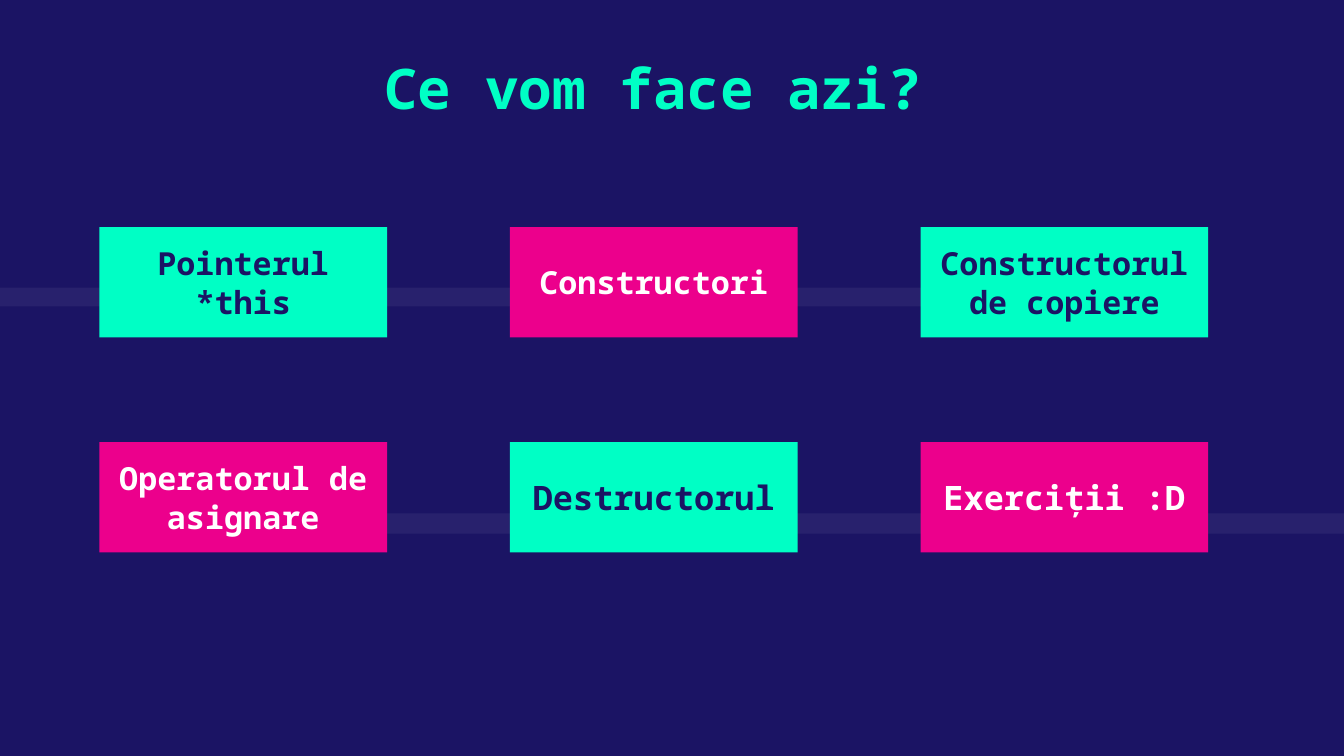
from pptx import Presentation
from pptx.dml.color import RGBColor
from pptx.enum.shapes import MSO_SHAPE
from pptx.enum.text import MSO_ANCHOR, PP_ALIGN
from pptx.oxml.ns import qn
from pptx.util import Inches, Pt
from lxml import etree

RECTANGLE = MSO_SHAPE.RECTANGLE
TOP = MSO_ANCHOR.TOP
MIDDLE = MSO_ANCHOR.MIDDLE
CENTER = PP_ALIGN.CENTER
NAVY, MINT, PINK, WHITE = "1B1464", "00FFC5", "EC008C", "FFFFFF"


def paint(fill, color):
    fill.solid()
    fill.fore_color.rgb = RGBColor.from_string(color)


def write(box, text, size, color, anchor):
    frame = box.text_frame
    frame_format = {"word_wrap": True, "vertical_anchor": anchor}
    for side in ("left", "top", "right", "bottom"):
        frame_format[f"margin_{side}"] = Inches(0.1)
    for name, value in frame_format.items():
        setattr(frame, name, value)
    para = frame.paragraphs[0]
    para.alignment = CENTER
    span = para.add_run()
    span.text = text
    for name, value in {"name": "Noto Sans Mono", "size": Pt(size), "bold": True}.items():
        setattr(span.font, name, value)
    paint(span.font.fill, color)


deck = Presentation()
deck.slide_width = Inches(10)
deck.slide_height = Inches(10 * 9 / 16)
page = deck.slides.add_slide(deck.slide_layouts[6])
paint(page.background.fill, NAVY)

for left, right, top, bottom in [(0, 8.52, 2.14, 2.28), (1.02, 10, 3.82, 3.97)]:
    outline = page.shapes.build_freeform(Inches(right), Inches(top))
    corners = [(right, bottom), (left, bottom), (left, top)]
    outline.add_line_segments([(Inches(x), Inches(y)) for x, y in corners], close=True)
    band = outline.convert_to_shape()
    band.shadow.inherit = False
    band.line.fill.background()
    paint(band.fill, WHITE)
    tint = band.element.spPr.find(qn("a:solidFill"))[0]
    etree.SubElement(tint, qn("a:alpha"), val="6000")

title = page.shapes.add_textbox(Inches(1.26), Inches(0.3), Inches(7.2), Inches(0.73))
write(title, "Ce vom face azi?", 30, MINT, TOP)

topics = [
    [("Pointerul *this", 17), ("Constructori", 17), ("Constructorul de copiere", 17)],
    [("Operatorul de asignare", 17), ("Destructorul", 18), ("Exerciții :D", 18)],
]
styles = [(MINT, NAVY), (PINK, WHITE)]
for row, row_topics in enumerate(topics):
    for column, (topic, size) in enumerate(row_topics):
        left = 0.74 + column * (6.85 - 0.74) / 2
        top = 1.69 + row * 1.6
        card = page.shapes.add_shape(RECTANGLE, Inches(left), Inches(top), Inches(2.14), Inches(0.82))
        card.shadow.inherit = False
        card.line.fill.background()
        fill_color, text_color = styles[(row + column) % 2]
        paint(card.fill, fill_color)
        write(card, topic, size, text_color, MIDDLE)

deck.save("out.pptx")
